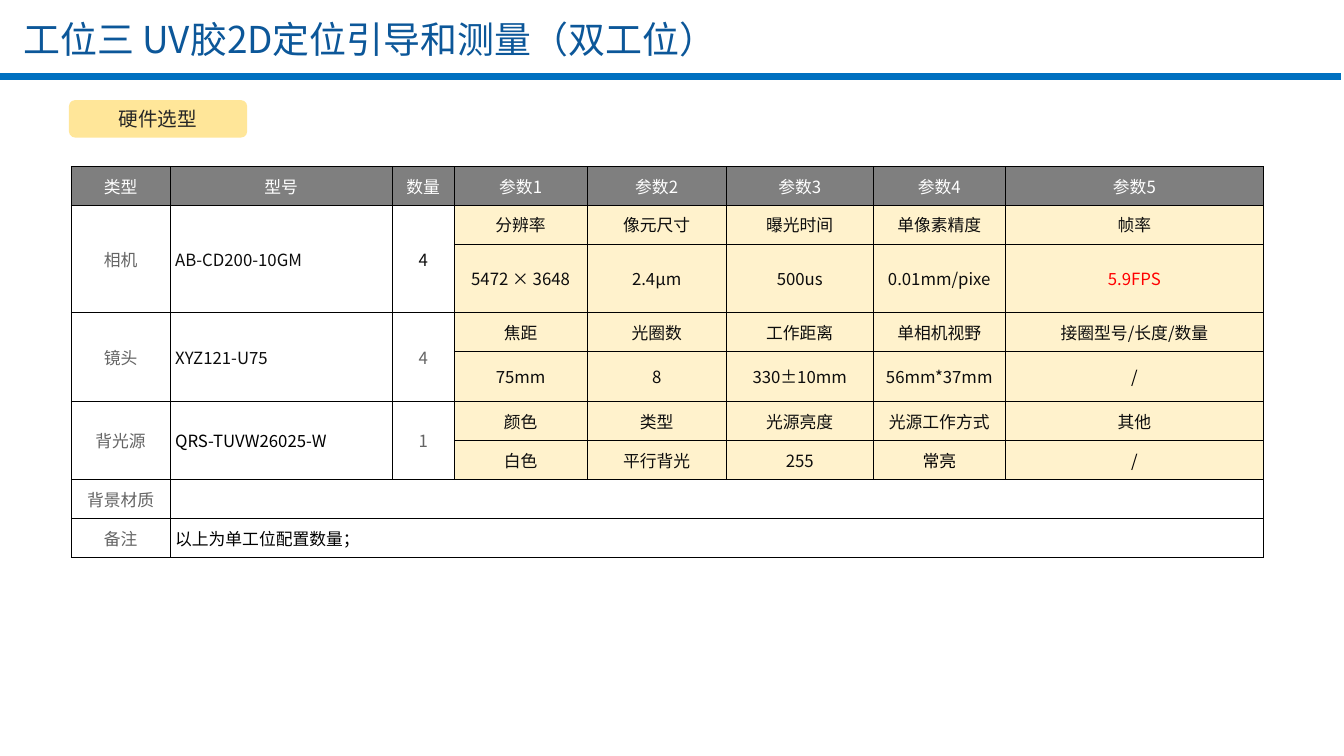
"""Build the hardware selection slide for station three."""
import pptx
import pptx.dml.color
import pptx.enum.shapes
import pptx.enum.text
import pptx.oxml
import pptx.oxml.ns
import pptx.util
from lxml import etree

Pt = pptx.util.Pt
RGBColor = pptx.dml.color.RGBColor
ALIGN = pptx.enum.text.PP_ALIGN
MIDDLE = pptx.enum.text.MSO_ANCHOR.MIDDLE
qn = pptx.oxml.ns.qn

FONT = "Noto Sans CJK SC"
WHITE = RGBColor(0xFF, 0xFF, 0xFF)
BLACK = RGBColor(0x00, 0x00, 0x00)
INK = RGBColor(0x0D, 0x0D, 0x0D)
DARK = RGBColor(0x26, 0x26, 0x26)
LABEL_GRAY = RGBColor(0x64, 0x64, 0x64)
HEADER_GRAY = RGBColor(0x7F, 0x7F, 0x7F)
RED = RGBColor(0xFF, 0x00, 0x00)
CREAM = RGBColor(0xFF, 0xF2, 0xCC)
YELLOW = RGBColor(0xFF, 0xE6, 0x99)
RULE_BLUE = RGBColor(0x00, 0x70, 0xC0)
TITLE_BLUE = RGBColor(0x0C, 0x57, 0x99)


def write(tf, text, size=12, color=INK, align=ALIGN.CENTER, spacing=1.0):
    p = tf.paragraphs[0]
    p.alignment = align
    p.line_spacing = spacing
    p.font.size = Pt(size)
    if text:
        r = p.add_run()
        r.text = text
        r.font.size = Pt(size)
        r.font.bold = False
        r.font.name = FONT
        r.font.color.rgb = color
        ea = etree.SubElement(r.font._element, qn("a:ea"))
        ea.set("typeface", FONT)
    else:
        end = p._p.get_or_add_endParaRPr()
        end.set("sz", str(size * 100))


def add_borders(cell):
    tc_pr = cell._tc.get_or_add_tcPr()
    for side in ("lnL", "lnR", "lnT", "lnB"):
        tc_pr.append(pptx.oxml.parse_xml(
            f'<a:{side} {pptx.oxml.ns.nsdecls("a")} w="{Pt(0.45)}"><a:solidFill>'
            f'<a:srgbClr val="{BLACK}"/></a:solidFill></a:{side}>'))


prs = pptx.Presentation()
prs.slide_width, prs.slide_height = Pt(960.48), Pt(540)
s = prs.slides.add_slide(prs.slide_layouts[5])

title = s.shapes.title
title.left, title.top, title.width, title.height = Pt(9.4), Pt(9.4), Pt(864), Pt(41.8)
tf = title.text_frame
tf.word_wrap = True
tf.auto_size = pptx.enum.text.MSO_AUTO_SIZE.NONE
tf.vertical_anchor = MIDDLE
write(tf, "工位三 UV胶2D定位引导和测量（双工位）", size=26.4, color=TITLE_BLUE,
      align=ALIGN.LEFT, spacing=0.8)

rule = s.shapes.add_connector(pptx.enum.shapes.MSO_CONNECTOR.STRAIGHT,
                              Pt(-1.44), Pt(54.7), Pt(958.6), Pt(54.7))
rule.line.color.rgb = RULE_BLUE
rule.line.width = Pt(4.75)
etree.SubElement(rule._element.spPr, qn("a:effectLst"))

tag = s.shapes.add_shape(pptx.enum.shapes.MSO_SHAPE.ROUNDED_RECTANGLE,
                         Pt(49.3), Pt(71.5), Pt(127.4), Pt(26.8))
tag.shadow.inherit = False
tag.fill.solid()
tag.fill.fore_color.rgb = YELLOW
tag.line.fill.background()
tag.text_frame.vertical_anchor = MIDDLE
write(tag.text_frame, "硬件选型", size=14, color=DARK)

rows = [
    ["类型", "型号", "数量", "参数1", "参数2", "参数3", "参数4", "参数5"],
    ["相机", "AB-CD200-10GM", "4", "分辨率", "像元尺寸", "曝光时间", "单像素精度", "帧率"],
    ["", "", "", "5472 × 3648", "2.4μm", "500us", "0.01mm/pixe", "5.9FPS"],
    ["镜头", "XYZ121-U75", "4", "焦距", "光圈数", "工作距离", "单相机视野", "接圈型号/长度/数量"],
    ["", "", "", "75mm", "8", "330±10mm", "56mm*37mm", "/"],
    ["背光源", "QRS-TUVW26025-W", "1", "颜色", "类型", "光源亮度", "光源工作方式", "其他"],
    ["", "", "", "白色", "平行背光", "255", "常亮", "/"],
    ["背景材质", "", "", "", "", "", "", ""],
    ["备注", "以上为单工位配置数量；", "", "", "", "", "", ""],
]
special_colors = {(2, 7): RED, (3, 2): LABEL_GRAY, (5, 2): LABEL_GRAY,
                  (4, 7): BLACK, (5, 1): BLACK, (6, 6): BLACK, (6, 7): BLACK, (8, 1): BLACK}
col_widths = [70.8, 158.7, 44.3, 95.1, 99.4, 105.1, 94.4, 184.5]
row_heights = [27.8, 27.8, 48.8, 27.8, 36, 27.8, 27.8, 27.8, 27.8]

table = s.shapes.add_table(len(rows), len(col_widths), Pt(50.8), Pt(118.8),
                           Pt(sum(col_widths)), Pt(sum(row_heights))).table
table.horz_banding = False
for col, width in zip(table.columns, col_widths):
    col.width = Pt(width)
for row, height in zip(table.rows, row_heights):
    row.height = Pt(height)

for i, texts in enumerate(rows):
    for j, text in enumerate(texts):
        cell = table.cell(i, j)
        add_borders(cell)
        if i == 0:
            fill, color = HEADER_GRAY, WHITE
        elif j == 0:
            fill, color = WHITE, LABEL_GRAY
        else:
            fill, color = (CREAM if j > 2 and i < 7 else WHITE), INK
        cell.fill.solid()
        cell.fill.fore_color.rgb = fill
        cell.vertical_anchor = MIDDLE
        cell.margin_left = cell.margin_right = Pt(3.6)
        write(cell.text_frame, text, color=special_colors.get((i, j), color),
              align=ALIGN.LEFT if j == 1 and i > 0 else ALIGN.CENTER)

for i in (1, 3, 5):
    for j in range(3):
        table.cell(i, j).merge(table.cell(i + 1, j))
for i in (7, 8):
    table.cell(i, 1).merge(table.cell(i, 7))

prs.save("out.pptx")
